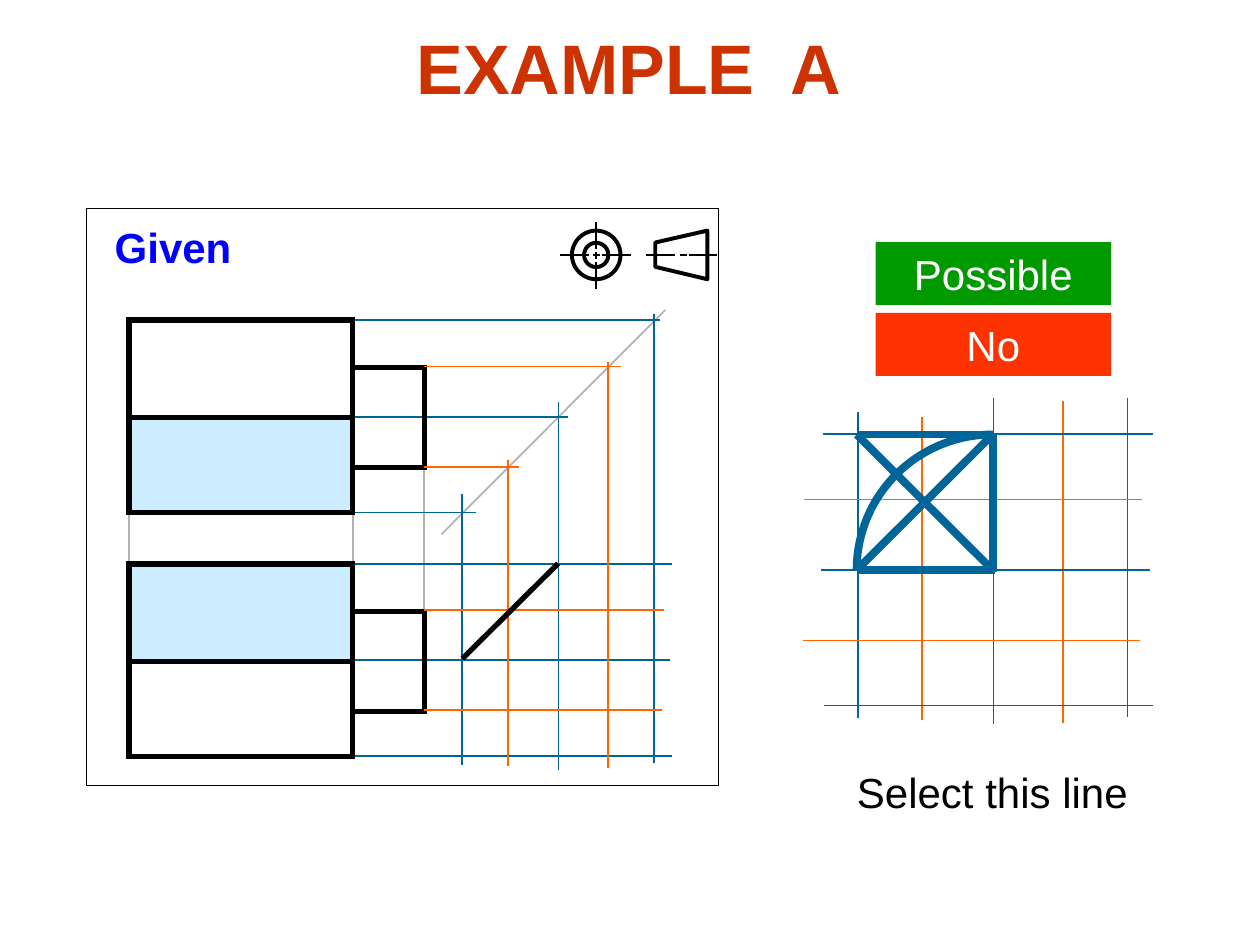
"""Build the projection exercise slide: two given views and a grid of candidate lines."""
from lxml.etree import SubElement
from pptx import Presentation
from pptx.dml.color import RGBColor
from pptx.enum.shapes import MSO_CONNECTOR, MSO_SHAPE
from pptx.enum.text import MSO_ANCHOR, MSO_AUTO_SIZE, PP_ALIGN
from pptx.oxml.ns import qn
from pptx.util import Cm, Pt

BLACK = RGBColor(0x00, 0x00, 0x00)
WHITE = RGBColor(0xFF, 0xFF, 0xFF)
GREY = RGBColor(0xB2, 0xB2, 0xB2)
BLUE = RGBColor(0x00, 0x66, 0x99)
ORANGE = RGBColor(0xFF, 0x66, 0x00)
PALE_BLUE = RGBColor(0xCC, 0xEC, 0xFF)
LABEL_BLUE = RGBColor(0x00, 0x00, 0xFF)
TITLE_RED = RGBColor(0xCC, 0x33, 0x00)
GREEN = RGBColor(0x00, 0x99, 0x00)
RED = RGBColor(0xFF, 0x33, 0x00)

LABELS = [
    ("EXAMPLE  A", (8.08, 0.36, 9.2, 1.96), dict(size=40, color=TITLE_RED, bold=True)),
    ("Given", (1.94, 4.34, 3.1, 1.27), dict(color=LABEL_BLUE, bold=True)),
    ("Select this line", (16.97, 15.32, 6.07, 1.27), dict(color=BLACK)),
]
BUTTONS = [("Possible", 4.88, GREEN), ("No", 6.31, RED)]

FRAME = (1.74, 4.2, 12.75, 11.63)
BODY_LEFT, BODY_RIGHT, TAB_RIGHT = 2.6, 7.11, 8.55
BODY_ROWS = (6.45, 8.41, 10.33)
TAB_ROWS = (7.41, 9.42)
VIEW_STEP = 4.92
SHADED_ROWS = (8.41, 11.38)
OVERHANG = 0.05

FOLDS = [
    (TAB_RIGHT, 12.47, TAB_RIGHT, 9.12), (8.9, 10.77, 13.41, 6.25),
    (BODY_LEFT, 11.35, BODY_LEFT, 10.33), (BODY_RIGHT, 11.35, BODY_RIGHT, 10.33),
]
BODY_RAYS = [(6.45, 13.31), (8.41, 11.46), (10.33, 9.6),
             (11.37, 13.54), (13.3, 13.51), (15.24, 13.54)]
BODY_DROPS = [(9.32, 9.96, 15.42), (11.26, 8.1, 15.52), (13.18, 6.32, 15.39)]
TAB_RAYS = [(7.39, 12.52), (9.42, 10.46), (12.3, 13.39), (14.32, 13.35)]
TAB_DROPS = [(10.24, 9.27, 15.45), (12.25, 7.29, 15.49)]
GIVEN_EDGE = (11.25, 11.36, 9.32, 13.28)

SYMBOL_Y = 5.14
RING_X, CONE_X = 12.02, 13.76
RING_SIZE = 0.98
CONE = [(14.26, 4.65), (14.26, 5.63), (13.21, 5.38), (13.21, 4.89)]
DASHES_ACROSS = [(-0.74, -0.15), (-0.06, 0.08), (0.12, 0.7)]
DASHES_DOWN = [(-0.66, -0.13), (-0.05, 0.08), (0.15, 0.69)]

GRID_ROWS = [
    (8.75, 16.59, 23.24, BLUE), (11.49, 16.56, 23.19, BLUE), (14.22, 16.61, 23.25, BLUE),
    (10.07, 16.21, 23.03, ORANGE), (12.91, 16.18, 22.98, ORANGE),
]
GRID_COLUMNS = [
    (17.29, 8.31, 14.48, BLUE), (20.03, 8.03, 14.6, BLUE), (22.73, 8.03, 14.45, BLUE),
    (18.59, 8.41, 14.52, ORANGE), (21.43, 8.08, 14.58, ORANGE),
]
CHOICE_LEFT, CHOICE_RIGHT, CHOICE_TOP, CHOICE_BOTTOM = 17.27, 20.01, 8.76, 11.49


def add_line(slide, ends, color, width=1):
    line = slide.shapes.add_connector(MSO_CONNECTOR.STRAIGHT, *map(Cm, ends))
    line.line.color.rgb = color
    line.line.width = Pt(width)
    SubElement(line._element.spPr, qn("a:effectLst"))


def style(shape, fill=None, outline=None, width=1):
    shape.shadow.inherit = False
    if fill is None:
        shape.fill.background()
    else:
        shape.fill.solid()
        shape.fill.fore_color.rgb = fill
    if outline is None:
        shape.line.fill.background()
    else:
        shape.line.color.rgb = outline
        shape.line.width = Pt(width)


def add_shape(slide, kind, box, **look):
    shape = slide.shapes.add_shape(kind, *map(Cm, box))
    style(shape, **look)
    return shape


def write(shape, text, size=24, color=BLACK, bold=False, wrap=False):
    frame = shape.text_frame
    frame.word_wrap = wrap
    frame.auto_size = MSO_AUTO_SIZE.SHAPE_TO_FIT_TEXT
    frame.vertical_anchor = MSO_ANCHOR.TOP
    paragraph = frame.paragraphs[0]
    paragraph.text = text
    paragraph.alignment = PP_ALIGN.CENTER
    font = paragraph.runs[0].font
    font.name, font.size, font.bold = "Arial", Pt(size), bold
    font.color.rgb = color


def draw_view(slide, shift):
    top, middle, bottom = (y + shift for y in BODY_ROWS)
    tab_top, tab_bottom = (y + shift for y in TAB_ROWS)
    edges = [(BODY_RIGHT, y, TAB_RIGHT + OVERHANG, y) for y in (tab_top, tab_bottom)]
    edges.append((TAB_RIGHT, tab_top, TAB_RIGHT, tab_bottom))
    edges.append((BODY_LEFT, middle, BODY_RIGHT, middle))
    for x in (BODY_LEFT, BODY_RIGHT):
        edges += [(x, top, x, middle), (x, middle, x, bottom)]
    for y in (top, bottom):
        edges.append((BODY_LEFT - OVERHANG, y, BODY_RIGHT + OVERHANG, y))
    for edge in edges:
        add_line(slide, edge, BLACK, 3)


def draw_projection(slide, start, rays, drops, color):
    for y, end in rays:
        add_line(slide, (start, y, end, y), color)
    for x, top, bottom in drops:
        add_line(slide, (x, top, x, bottom), color)


def draw_symbol(slide):
    corner = (RING_X - RING_SIZE / 2, SYMBOL_Y - RING_SIZE / 2)
    add_shape(slide, MSO_SHAPE.DONUT, (*corner, RING_SIZE, RING_SIZE), outline=BLACK, width=2.25)
    points = [(Cm(x), Cm(y)) for x, y in CONE]
    outline = slide.shapes.build_freeform(*points[0])
    outline.add_line_segments(points[1:], close=True)
    style(outline.convert_to_shape(), outline=BLACK, width=2.25)
    for center in (RING_X, CONE_X):
        for start, end in DASHES_ACROSS:
            add_line(slide, (center + start, SYMBOL_Y, center + end, SYMBOL_Y), BLACK)
    for start, end in DASHES_DOWN:
        add_line(slide, (RING_X, SYMBOL_Y + start, RING_X, SYMBOL_Y + end), BLACK)


def draw_choices(slide):
    for x, top, bottom, color in GRID_COLUMNS:
        add_line(slide, (x, top, x, bottom), color)
    for y, left, right, color in GRID_ROWS:
        add_line(slide, (left, y, right, y), color)
    left, right, top, bottom = CHOICE_LEFT, CHOICE_RIGHT, CHOICE_TOP, CHOICE_BOTTOM
    for ends in [(right, top, right, bottom + OVERHANG), (left, bottom, right + OVERHANG, bottom),
                 (right, top, left, bottom), (left, top, right, top), (left, top, right, bottom)]:
        add_line(slide, ends, BLUE, 4.5)
    box = (left, top, 2 * (right - left), 2 * (bottom - top))
    arc = add_shape(slide, MSO_SHAPE.ARC, box, outline=BLUE, width=4.5)
    arc.adjustments[0], arc.adjustments[1] = 108, 162


def main():
    deck = Presentation()
    deck.slide_width, deck.slide_height = Cm(25.4), Cm(19.05)
    slide = deck.slides.add_slide(deck.slide_layouts[6])
    for y in SHADED_ROWS:
        box = (BODY_LEFT, y, BODY_RIGHT - BODY_LEFT, 1.92)
        add_shape(slide, MSO_SHAPE.RECTANGLE, box, fill=PALE_BLUE)
    for fold in FOLDS:
        add_line(slide, fold, GREY)
    add_shape(slide, MSO_SHAPE.RECTANGLE, FRAME, outline=BLACK, width=0.75)
    draw_symbol(slide)
    draw_projection(slide, BODY_RIGHT, BODY_RAYS, BODY_DROPS, BLUE)
    for shift in (0, VIEW_STEP):
        draw_view(slide, shift)
    draw_projection(slide, TAB_RIGHT, TAB_RAYS, TAB_DROPS, ORANGE)
    add_line(slide, GIVEN_EDGE, BLACK, 3)
    draw_choices(slide)
    for text, y, fill in BUTTONS:
        button = add_shape(slide, MSO_SHAPE.RECTANGLE, (17.65, y, 4.75, 1.27), fill=fill)
        write(button, text, color=WHITE, wrap=True)
    for text, box, look in LABELS:
        write(slide.shapes.add_textbox(*map(Cm, box)), text, **look)
    deck.save("out.pptx")


if __name__ == "__main__":
    main()
